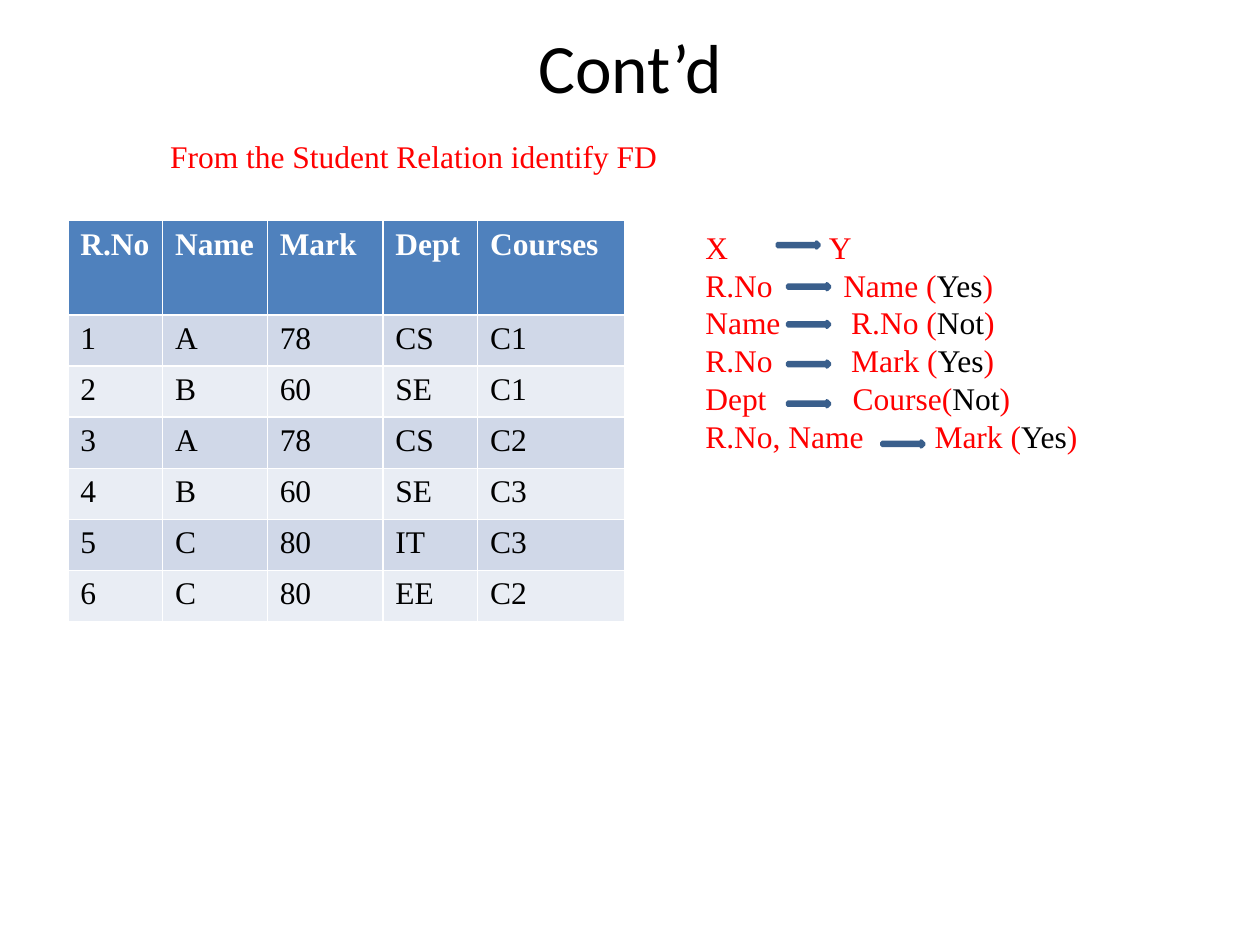
from dataclasses import dataclass

from lxml import etree
from pptx import Presentation
from pptx.dml.color import RGBColor
from pptx.enum.shapes import MSO_SHAPE
from pptx.enum.text import MSO_ANCHOR, PP_ALIGN
from pptx.oxml.ns import qn
from pptx.util import Cm, Pt

RIGHT_ARROW = MSO_SHAPE.RIGHT_ARROW
MIDDLE = MSO_ANCHOR.MIDDLE
CENTER = PP_ALIGN.CENTER


@dataclass(frozen=True)
class Theme:
    title_font: str = "Calibri"
    body_font: str = "Times New Roman"
    title_size: float = 39.6
    body_size: float = 18
    black: str = "000000"
    white: str = "FFFFFF"
    red: str = "FF0000"
    blue: str = "4F81BD"
    outline: str = "3A5F8C"
    bands: tuple[str, str] = ("D0D8E8", "E9EDF4")


@dataclass(frozen=True)
class Dependency:
    """One line 'left -> right (verdict)'; lengths in centimetres."""
    left: str
    right: str
    verdict: str
    tab: float
    arrow_x: float
    arrow_y: float


THEME = Theme()

HEADER = ("R.No", "Name", "Mark", "Dept", "Courses")
STUDENTS = (
    ("1", "A", "78", "CS", "C1"),
    ("2", "B", "60", "SE", "C1"),
    ("3", "A", "78", "CS", "C2"),
    ("4", "B", "60", "SE", "C3"),
    ("5", "C", "80", "IT", "C3"),
    ("6", "C", "80", "EE", "C2"),
)
COLUMN_WIDTHS = (1.91, 2.11, 2.33, 1.91, 2.96)
HEADER_HEIGHT, ROW_HEIGHT = 1.9, 1.03
CELL_MARGIN_LEFT, CELL_MARGIN_RIGHT = 0.25, 0.15

DEPENDENCIES = (
    Dependency("X", "Y", "", 2.49, 15.67, 4.88),
    Dependency("R.No", "Name", " (Yes)", 2.78, 15.88, 5.72),
    Dependency("Name", "R.No", " (Not)", 2.94, 15.88, 6.48),
    Dependency("R.No", "Mark", " (Yes)", 2.94, 15.88, 7.28),
    Dependency("Dept", "Course", "(Not)", 2.97, 15.88, 8.08),
    Dependency("R.No, Name", "Mark", " (Yes)", 4.62, 17.78, 8.89),
)


def rgb(color: str) -> RGBColor:
    return RGBColor.from_string(color)


def add_run(p, text: str, color: str, font: str = THEME.body_font,
            size: float = THEME.body_size, bold: bool = False) -> None:
    r = p.add_run()
    r.text = text
    r.font.name, r.font.size, r.font.bold = font, Pt(size), bold
    r.font.color.rgb = rgb(color)


def add_title(s, text: str) -> None:
    sp = s.shapes.title
    sp.left, sp.top, sp.width, sp.height = Cm(1.27), Cm(0.76), Cm(22.86), Cm(1.14)
    tf = sp.text_frame
    tf.vertical_anchor = MIDDLE
    p = tf.paragraphs[0]
    p.alignment = CENTER
    add_run(p, text, THEME.black, THEME.title_font, THEME.title_size)


def add_caption(s, text: str) -> None:
    sp = s.shapes.add_textbox(Cm(3.18), Cm(2.64), Cm(10.44), Cm(1.02))
    sp.text_frame.word_wrap = False
    add_run(sp.text_frame.paragraphs[0], text, THEME.red)


def add_student_table(s) -> None:
    rows = (HEADER, *STUDENTS)
    height = HEADER_HEIGHT + ROW_HEIGHT * len(STUDENTS)
    table = s.shapes.add_table(len(rows), len(HEADER), Cm(1.37), Cm(4.45),
                               Cm(sum(COLUMN_WIDTHS)), Cm(height)).table
    for column, width in zip(table.columns, COLUMN_WIDTHS):
        column.width = Cm(width)
    for i, values in enumerate(rows):
        is_header = i == 0
        table.rows[i].height = Cm(HEADER_HEIGHT if is_header else ROW_HEIGHT)
        fill = THEME.blue if is_header else THEME.bands[(i - 1) % 2]
        color = THEME.white if is_header else THEME.black
        for cell, value in zip(table.rows[i].cells, values):
            # A narrow right margin keeps each heading on one line
            cell.margin_left, cell.margin_right = Cm(CELL_MARGIN_LEFT), Cm(CELL_MARGIN_RIGHT)
            cell.fill.solid()
            cell.fill.fore_color.rgb = rgb(fill)
            add_run(cell.text_frame.paragraphs[0], value, color, bold=is_header)


def set_tab(p, position: float) -> None:
    tabs = etree.SubElement(p._p.get_or_add_pPr(), qn("a:tabLst"))
    etree.SubElement(tabs, qn("a:tab"), pos=str(Cm(position)), algn="l")


def add_arrow(s, left: float, top: float) -> None:
    sp = s.shapes.add_shape(RIGHT_ARROW, Cm(left), Cm(top), Cm(0.85), Cm(0.12))
    sp.shadow.inherit = False
    sp.fill.solid()
    sp.fill.fore_color.rgb = rgb(THEME.blue)
    sp.line.color.rgb = rgb(THEME.outline)
    sp.line.width = Pt(2)


def add_dependencies(s) -> None:
    tf = s.shapes.add_textbox(Cm(13.97), Cm(4.47), Cm(10.36), Cm(7.19)).text_frame
    tf.word_wrap = True
    for i, dep in enumerate(DEPENDENCIES):
        p = tf.paragraphs[0] if i == 0 else tf.add_paragraph()
        set_tab(p, dep.tab)
        # The verdict's brackets are red, its word black
        opening, bracket, word = dep.verdict.rstrip(")").partition("(")
        add_run(p, f"{dep.left}\t{dep.right}{opening}{bracket}", THEME.red)
        if word:
            add_run(p, word, THEME.black)
            add_run(p, ")", THEME.red)
    for dep in DEPENDENCIES:
        add_arrow(s, dep.arrow_x, dep.arrow_y)


def main() -> None:
    prs = Presentation()
    prs.slide_width, prs.slide_height = Cm(25.4), Cm(19.05)
    s = prs.slides.add_slide(prs.slide_layouts.get_by_name("Title Only"))

    # Heading
    add_title(s, "Cont’d")
    # Student relation
    add_student_table(s)
    add_caption(s, "From the Student Relation identify FD")
    # Functional dependencies
    add_dependencies(s)

    prs.save("out.pptx")


if __name__ == "__main__":
    main()
